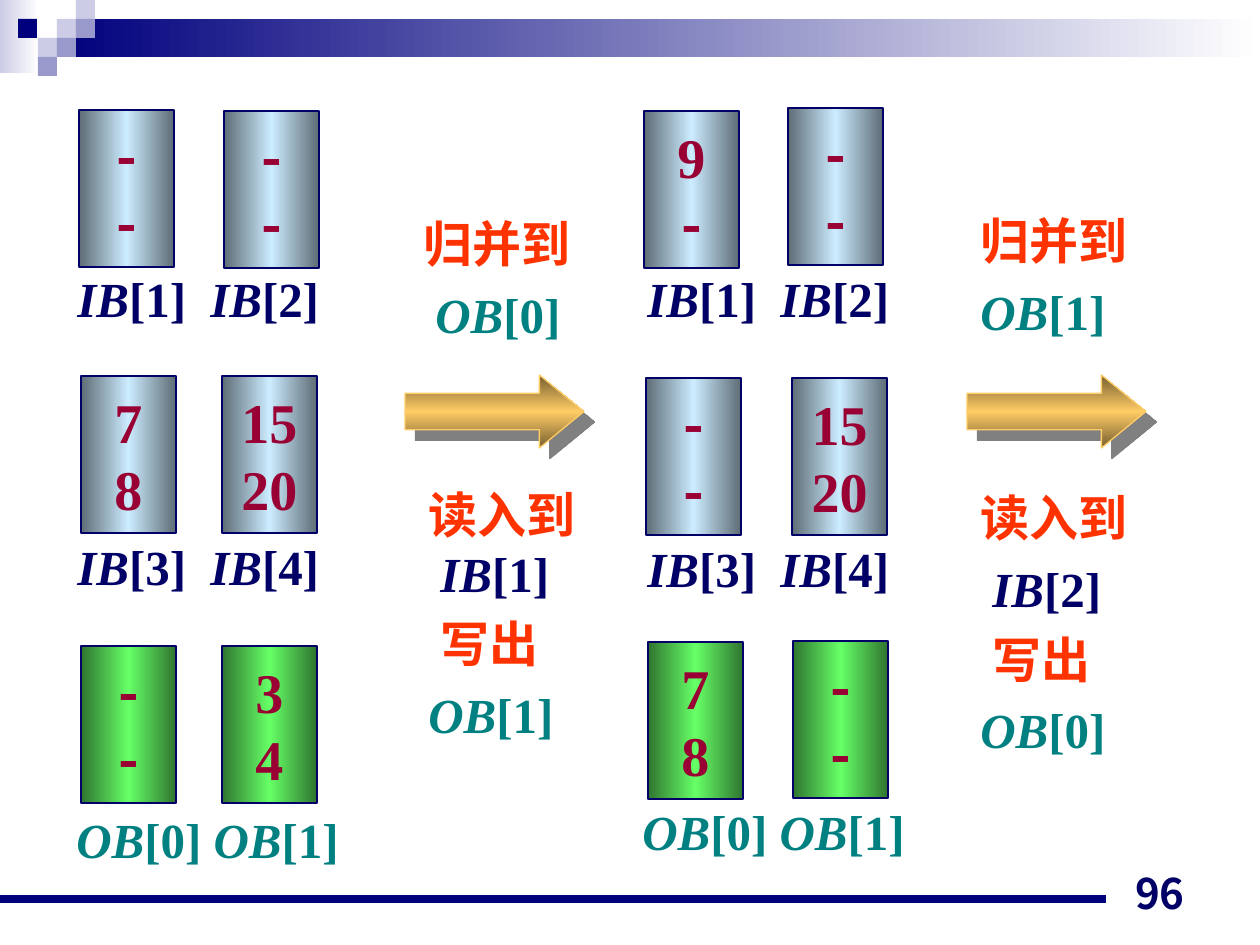
from copy import deepcopy

from lxml.etree import SubElement
from pptx import Presentation
from pptx.dml.color import RGBColor
from pptx.enum.shapes import MSO_CONNECTOR, MSO_SHAPE
from pptx.enum.text import MSO_ANCHOR, PP_ALIGN
from pptx.oxml.ns import qn
from pptx.util import Emu, Pt

WHITE = RGBColor(0xFF, 0xFF, 0xFF)
NAVY = RGBColor(0x00, 0x00, 0x7D)
INK = RGBColor(0x00, 0x00, 0x66)
LILAC = RGBColor(0xCC, 0xCC, 0xE6)
VIOLET = RGBColor(0x99, 0x99, 0xCC)
SLATE = RGBColor(0x5E, 0x6C, 0x75)
SKY = RGBColor(0xCC, 0xEC, 0xFF)
FOREST = RGBColor(0x2F, 0x75, 0x2F)
LIME = RGBColor(0x66, 0xFF, 0x66)
BRONZE = RGBColor(0x75, 0x5E, 0x2F)
GOLD = RGBColor(0xFF, 0xCC, 0x66)
CRIMSON = RGBColor(0x99, 0x00, 0x33)
ORANGE = RGBColor(0xFF, 0x33, 0x00)
TEAL = RGBColor(0x00, 0x80, 0x80)
GRAY = RGBColor(0x80, 0x80, 0x80)

SERIF, SANS, NUMBER_FONT = "Times New Roman", "Noto Sans CJK SC", "Noto Sans CJK JP"
BUFFER_COLORS = {"IB": INK, "OB": TEAL}
INPUT_FILL, OUTPUT_FILL = (SLATE, SKY, SLATE), (FOREST, LIME, FOREST)
LABEL_TAB = 133
INDENT = 12

# Buffers: left, top, fill, two values
BUFFERS = [
    (79, 110, INPUT_FILL, "--"), (224, 111, INPUT_FILL, "--"),
    (81, 376, INPUT_FILL, "78"), (222, 376, INPUT_FILL, ("15", "20")),
    (81, 646, OUTPUT_FILL, "--"), (222, 646, OUTPUT_FILL, "34"),
    (644, 111, INPUT_FILL, "9-"), (788, 108, INPUT_FILL, "--"),
    (646, 378, INPUT_FILL, "--"), (792, 378, INPUT_FILL, ("15", "20")),
    (648, 642, OUTPUT_FILL, "78"), (793, 641, OUTPUT_FILL, "--"),
]
# Labels under buffer pairs: left, top, buffer name, first number, separator
LABELS = [
    (65, 262, "IB", 1, "\t"), (65, 530, "IB", 3, "\t"), (64, 803, "OB", 0, " "),
    (635, 262, "IB", 1, "\t"), (635, 532, "IB", 3, "\t"), (630, 795, "OB", 0, " "),
]
# Steps: left, top, height, lines of (content, indent, line spacing)
STEPS = [
    (411, 196, 154, [("归并到", 0, 1.2), (("OB", 0), INDENT, 1.2)]),
    (968, 193, 154, [("归并到", 0, 1.2), (("OB", 1), 0, 1.2)]),
    (416, 478, 272, [("读入到", 0, 1), (("IB", 1), INDENT, 1),
                     ("写出", INDENT, 1.2), (("OB", 1), 0, 1.2)]),
    (968, 470, 295, [("读入到", 0, 1.2), (("IB", 2), INDENT, 1.2),
                     ("写出", INDENT, 1.2), (("OB", 0), 0, 1.2)]),
]


def px(length):
    return Emu(round(length * 914400 / 126))


def set_gradient(shape, colors, angle):
    shape.fill.gradient()
    shape.fill.gradient_angle = angle
    stop_list = shape._element.spPr.find(qn("a:gradFill")).find(qn("a:gsLst"))
    while len(stop_list) < len(colors):
        stop_list.append(deepcopy(stop_list[0]))
    for index, (stop, color) in enumerate(zip(shape.fill.gradient_stops, colors)):
        stop.position = index / (len(colors) - 1)
        stop.color.rgb = color


def add_block(page, bounds, colors, outline=None, kind=MSO_SHAPE.RECTANGLE, angle=0):
    shape = page.shapes.add_shape(kind, *map(px, bounds))
    shape.shadow.inherit = False
    if len(colors) == 1:
        shape.fill.solid()
        shape.fill.fore_color.rgb = colors[0]
    else:
        set_gradient(shape, colors, angle)
    if outline is None:
        shape.line.fill.background()
    else:
        shape.line.color.rgb = outline
        shape.line.width = Pt(0.75)
    return shape


def add_span(para, text, color, size, font=SERIF, italic=False):
    span = para.add_run()
    span.text = text
    formats = {"name": font, "size": Pt(size), "bold": True, "italic": italic}
    for name, value in formats.items():
        setattr(span.font, name, value)
    span.font.color.rgb = color
    SubElement(span._r.get_or_add_rPr(), qn("a:ea"), typeface=SANS)


def add_buffer_name(para, name, number):
    add_span(para, name, BUFFER_COLORS[name], 28, italic=True)
    add_span(para, f"[{number}]", BUFFER_COLORS[name], 28)


def add_text_frame(page, bounds):
    box = page.shapes.add_textbox(*map(px, bounds))
    box.text_frame.word_wrap = True
    return box.text_frame


def next_para(frame, index):
    return frame.add_paragraph() if index else frame.paragraphs[0]


def add_buffer(page, left, top, colors, values):
    shape = add_block(page, (left, top, 95, 157), colors, INK)
    frame = shape.text_frame
    frame.word_wrap = False
    frame.vertical_anchor = MSO_ANCHOR.MIDDLE
    for index, value in enumerate(values):
        para = next_para(frame, index)
        para.alignment = PP_ALIGN.CENTER
        add_span(para, value, CRIMSON, 32, SANS if value == "-" else SERIF)


def add_label(page, left, top, name, first, separator):
    para = add_text_frame(page, (left, top, 290, 72)).paragraphs[0]
    tabs = SubElement(para._p.get_or_add_pPr(), qn("a:tabLst"))
    SubElement(tabs, qn("a:tab"), pos=str(px(LABEL_TAB)), algn="l")
    add_buffer_name(para, name, first)
    add_span(para, separator, BUFFER_COLORS[name], 28)
    add_buffer_name(para, name, first + 1)


def add_step(page, left, top, height, lines):
    # Wide enough to keep each caption on one line
    frame = add_text_frame(page, (left, top, 190, height))
    for index, (content, indent, spacing) in enumerate(lines):
        para = next_para(frame, index)
        para.line_spacing = float(spacing)
        if indent:
            para._p.get_or_add_pPr().set("marL", str(px(indent)))
        if isinstance(content, tuple):
            add_buffer_name(para, *content)
        else:
            add_span(para, content, ORANGE, 28)


def add_arrow(page, left):
    arrow = add_block(page, (left, 375, 179, 73), (BRONZE, GOLD, BRONZE), GOLD,
                      MSO_SHAPE.RIGHT_ARROW, 90)
    arrow.adjustments[0] = 0.5
    arrow.adjustments[1] = 0.61
    effects = arrow._element.spPr.find(qn("a:effectLst"))
    shadow = SubElement(effects, qn("a:outerShdw"), dist=str(Pt(8.5)),
                        dir="2700000", algn="ctr", rotWithShape="0")
    SubElement(shadow, qn("a:srgbClr"), val=str(GRAY))


def add_decoration(page):
    # Header bands and mosaic
    add_block(page, (0, 0, 39, 73), (LILAC, WHITE))
    add_block(page, (57, 19, 1203, 38), (NAVY, WHITE))
    squares = [(57, 19, LILAC), (76, 0, LILAC), (76, 19, VIOLET), (38, 38, LILAC),
               (18, 19, NAVY), (57, 38, VIOLET), (38, 57, VIOLET)]
    for left, top, color in squares:
        add_block(page, (left, top, 19, 19), (color,))
    # Footer rule
    rule = page.shapes.add_connector(MSO_CONNECTOR.STRAIGHT, *map(px, (0, 899, 1106, 899)))
    rule.line.color.rgb = NAVY
    rule.line.width = Pt(4.5)
    SubElement(rule._element.spPr, qn("a:effectLst"))


def add_page_number(page):
    frame = add_text_frame(page, (903, 861, 294, 63))
    frame.vertical_anchor = MSO_ANCHOR.BOTTOM
    para = frame.paragraphs[0]
    para.alignment = PP_ALIGN.RIGHT
    add_span(para, "96", INK, 24, NUMBER_FONT)


def main():
    deck = Presentation()
    deck.slide_width, deck.slide_height = px(1260), px(945)
    page = deck.slides.add_slide(deck.slide_layouts[6])
    add_decoration(page)
    for buffer in BUFFERS:
        add_buffer(page, *buffer)
    for label in LABELS:
        add_label(page, *label)
    for left in (405, 967):
        add_arrow(page, left)
    for step in STEPS:
        add_step(page, *step)
    add_page_number(page)
    deck.save("out.pptx")


if __name__ == "__main__":
    main()
